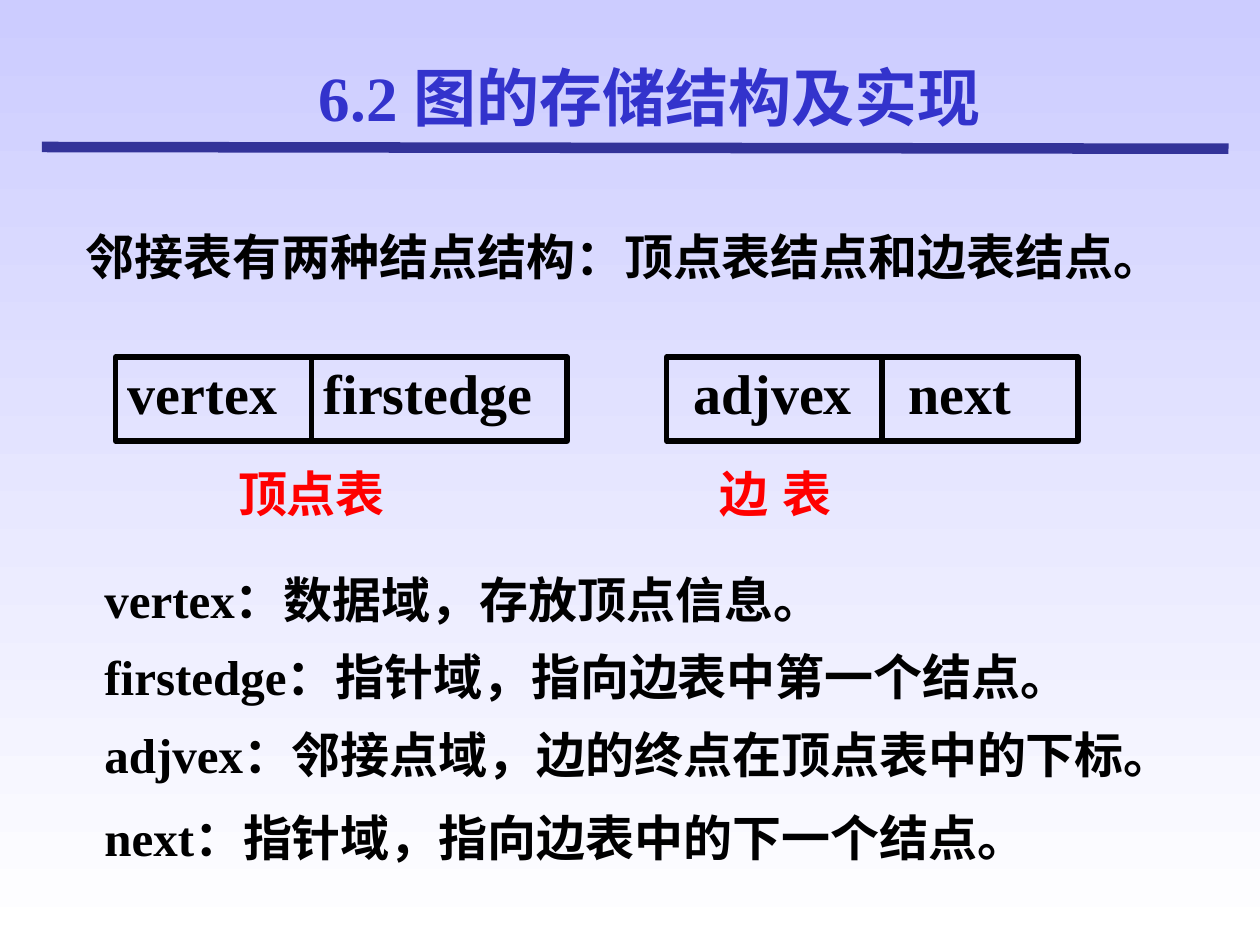
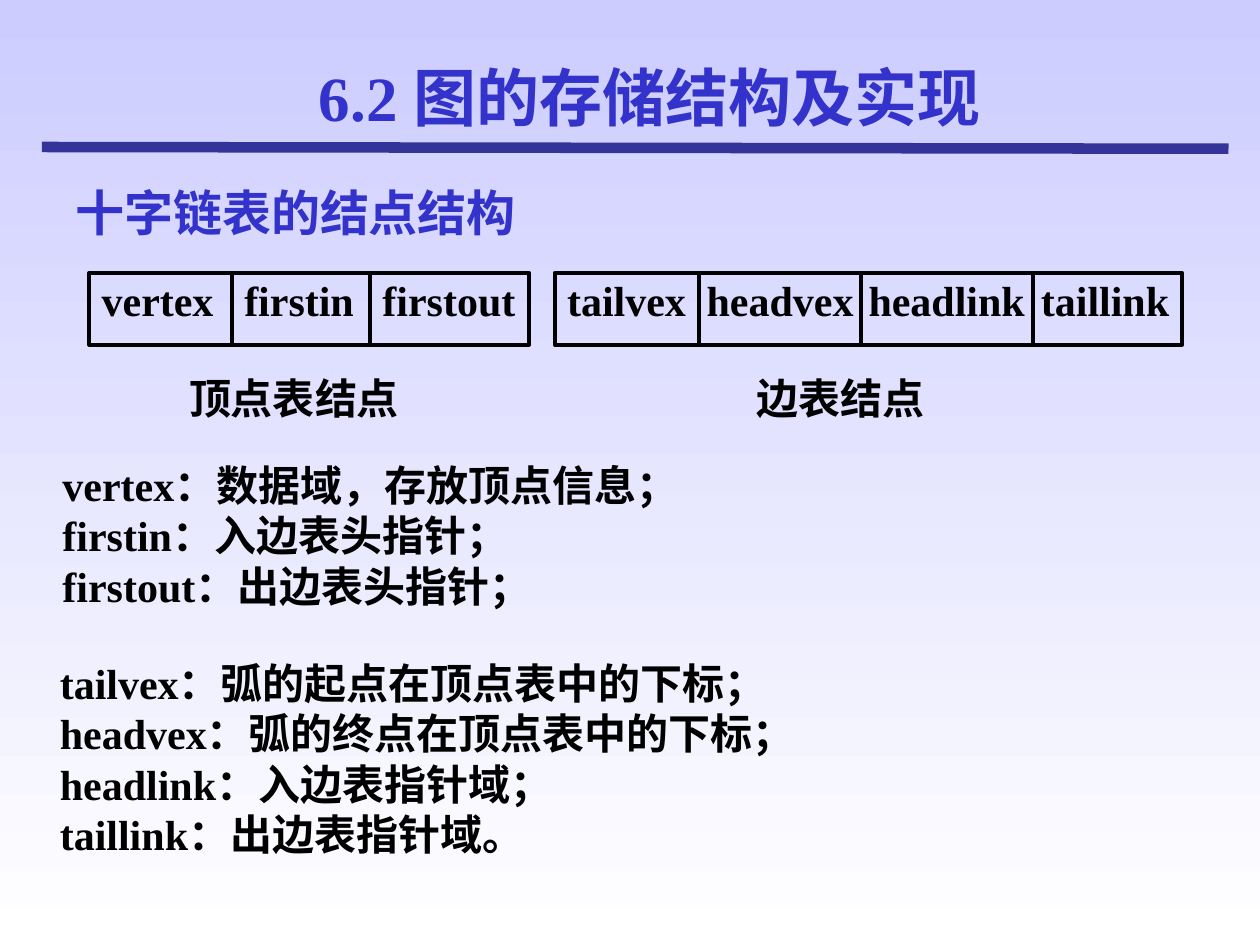
from dataclasses import dataclass
from typing import Any

from lxml.etree import SubElement
from pptx import Presentation
from pptx.dml.color import RGBColor
from pptx.enum.lang import MSO_LANGUAGE_ID
from pptx.enum.shapes import MSO_CONNECTOR, MSO_SHAPE
from pptx.enum.text import MSO_ANCHOR, MSO_AUTO_SIZE, PP_ALIGN
from pptx.oxml.ns import qn
from pptx.util import Pt

COLORS = {
    "sky": "CCCCFF",
    "white": "FFFFFF",
    "rule": "333399",
    "title": "3333CC",
    "text": "000000",
    "red": "FF0000",
    "shadow": "808080",
}
LATIN, CJK = "Times New Roman", "Noto Sans CJK SC"
TITLE = "6.2 图的存储结构及实现"
LINE_HEIGHT = 1.2
RULE_ID = 20
BOX_INSETS = (7.2, 3.6, 7.2, 3.6)
CAPTION_INSETS = (0, 0.7, 0, 0.7)


@dataclass
class TextStyle:
    size: float
    color: str = "text"
    font: str = LATIN
    shadow: bool = False
    insets: tuple[float, float, float, float] = BOX_INSETS


@dataclass
class TextBox:
    text: str
    left: float
    top: float
    width: float
    height: float
    style: TextStyle
    tab: float | None = None


@dataclass
class Field:
    name: str
    width: float
    inset: float = 7.2


@dataclass
class Node:
    """A record drawn as a row of adjoining fields."""
    left: float
    top: float
    height: float
    line: float
    size: float
    fields: list[Field]


def rgb(name: str) -> RGBColor:
    return RGBColor.from_string(COLORS[name])


def set_all(target: Any, values: dict[str, Any]) -> None:
    for name, value in values.items():
        setattr(target, name, value)


def place(sp: Any, left: float, top: float, width: float, height: float) -> None:
    set_all(sp, {"left": Pt(left), "top": Pt(top),
                 "width": Pt(width), "height": Pt(height)})


def add_text_shadow(rPr: Any) -> None:
    effects = SubElement(rPr, qn("a:effectLst"))
    shadow = SubElement(effects, qn("a:outerShdw"), dist="25400", dir="2700000")
    SubElement(shadow, qn("a:srgbClr"), val=COLORS["shadow"])
    rPr.find(qn("a:latin")).addprevious(effects)


def write(sp: Any, lines: list[str], style: TextStyle,
          gaps: tuple[float, ...] = (), tab: float | None = None) -> None:
    """Fill a shape with one paragraph per line; gaps precede later lines."""
    tf = sp.text_frame
    left, top, right, bottom = map(Pt, style.insets)
    set_all(tf, {"word_wrap": True, "auto_size": MSO_AUTO_SIZE.NONE,
                 "vertical_anchor": MSO_ANCHOR.TOP,
                 "margin_left": left, "margin_top": top,
                 "margin_right": right, "margin_bottom": bottom})
    for i, line in enumerate(lines):
        p = tf.add_paragraph() if i else tf.paragraphs[0]
        pPr = p._p.get_or_add_pPr()
        pPr.set("marL", "0")
        pPr.set("indent", "0")
        SubElement(pPr, qn("a:buNone"))
        if tab is not None:
            tabs = SubElement(pPr, qn("a:tabLst"))
            SubElement(tabs, qn("a:tab"), pos=str(Pt(tab)), algn="l")
        set_all(p, {"alignment": PP_ALIGN.LEFT,
                    "line_spacing": Pt(style.size * LINE_HEIGHT),
                    "space_before": Pt(gaps[i - 1] if i and gaps else 0),
                    "space_after": Pt(0)})
        r = p.add_run()
        r.text = line
        set_all(r.font, {"name": style.font, "size": Pt(style.size), "bold": True,
                         "language_id": MSO_LANGUAGE_ID.SIMPLIFIED_CHINESE})
        r.font.color.rgb = rgb(style.color)
        rPr = r.font._element
        SubElement(rPr, qn("a:ea"), typeface=CJK)
        if style.shadow:
            add_text_shadow(rPr)


TITLE_STYLE = TextStyle(36, "title", shadow=True)
LIST_28, LIST_24 = TextStyle(28), TextStyle(24)
CAPTION_28 = TextStyle(28, "red", insets=CAPTION_INSETS)
CAPTION_24 = TextStyle(24, insets=CAPTION_INSETS)


def add_slide(prs: Any, layout: int) -> Any:
    s = prs.slides.add_slide(prs.slide_layouts[layout])
    place(s.shapes.title, 175, 30, 402, 50.4)
    write(s.shapes.title, [TITLE], TITLE_STYLE)
    return s


def add_text(s: Any, box: TextBox) -> None:
    sp = s.shapes.add_textbox(Pt(box.left), Pt(box.top), Pt(box.width), Pt(box.height))
    write(sp, [box.text], box.style, tab=box.tab)


def add_node(s: Any, node: Node) -> None:
    left = node.left
    for field in node.fields:
        sp = s.shapes.add_shape(MSO_SHAPE.RECTANGLE, Pt(left), Pt(node.top),
                                Pt(field.width), Pt(node.height))
        sp.shadow.inherit = False
        sp.fill.background()
        sp.line.color.rgb = rgb("text")
        sp.line.width = Pt(node.line)
        write(sp, [field.name], TextStyle(node.size, insets=(field.inset, 1, 0, 0.7)))
        left += field.width


def style_master(prs: Any, s: Any) -> None:
    """Set the shared background and move the title rule onto the master."""
    fill = prs.slide_master.background.fill
    fill.gradient()
    fill.gradient_angle = 270
    for stop, name in zip(fill.gradient_stops, ("sky", "white")):
        stop.color.rgb = rgb(name)
    rule = s.shapes.add_connector(MSO_CONNECTOR.STRAIGHT,
                                  Pt(24), Pt(84), Pt(702), Pt(85))
    rule.line.color.rgb = rgb("rule")
    rule.line.width = Pt(6)
    SubElement(rule.element.spPr, qn("a:effectLst"))
    rule.element.nvCxnSpPr.cNvPr.set("id", str(RULE_ID))
    prs.slide_master.element.cSld.spTree.append(rule.element)


def build_adjacency_list(prs: Any) -> Any:
    s = add_slide(prs, 1)
    add_text(s, TextBox("邻接表有两种结点结构：顶点表结点和边表结点。",
                        42, 126, 648, 41, TextStyle(28, font=CJK)))
    for left, fields in (
        (66, [Field("vertex", 112), Field("firstedge", 146)]),
        (381, [Field("adjvex", 123, 15.2), Field("next", 112, 15.2)]),
    ):
        add_node(s, Node(left, 204, 48, 3, 32, fields))
    add_text(s, TextBox("顶点表", 136, 264, 110, 42, CAPTION_28))
    add_text(s, TextBox("边\t表", 411, 264, 110, 42, CAPTION_28, tab=47))
    body = s.placeholders[1]
    place(body, 52.5, 322, 642, 177)
    write(body, ["vertex：数据域，存放顶点信息。",
                 "firstedge：指针域，指向边表中第一个结点。",
                 "adjvex：邻接点域，边的终点在顶点表中的下标。",
                 "next：指针域，指向边表中的下一个结点。"],
          LIST_28, gaps=(10.5, 10.5, 14))
    return s


def build_orthogonal_list(prs: Any) -> Any:
    s = add_slide(prs, 3)
    add_text(s, TextBox("十字链表的结点结构", 36, 101, 420, 41,
                        TextStyle(28, "title", CJK)))
    for left, fields in (
        (51, [Field("vertex", 81.5), Field("firstin", 79), Field("firstout", 91)]),
        (317, [Field("tailvex", 82.5), Field("headvex", 92.5, 4.3),
               Field("headlink", 98.5, 4.3), Field("taillink", 85, 4.3)]),
    ):
        add_node(s, Node(left, 156, 41, 2.25, 24, fields))
    add_text(s, TextBox("顶点表结点", 108, 212, 146, 30, CAPTION_24))
    add_text(s, TextBox("边表结点", 432.5, 212, 118, 30, CAPTION_24))
    vertex_list, edge_list = s.placeholders[1], s.placeholders[2]
    place(vertex_list, 28.5, 259, 418, 94)
    write(vertex_list, ["vertex：数据域，存放顶点信息；",
                        "firstin：入边表头指针；",
                        "firstout：出边表头指针；"], LIST_24)
    place(edge_list, 27, 372, 660, 122)
    write(edge_list, ["tailvex：弧的起点在顶点表中的下标；",
                      "headvex：弧的终点在顶点表中的下标；",
                      "headlink：入边表指针域；",
                      "taillink：出边表指针域。"], LIST_24)
    return s


def main() -> None:
    prs = Presentation()
    set_all(prs, {"slide_width": Pt(720), "slide_height": Pt(540)})
    s = build_adjacency_list(prs)
    style_master(prs, s)
    build_orthogonal_list(prs)
    prs.save("out.pptx")


if __name__ == "__main__":
    main()
